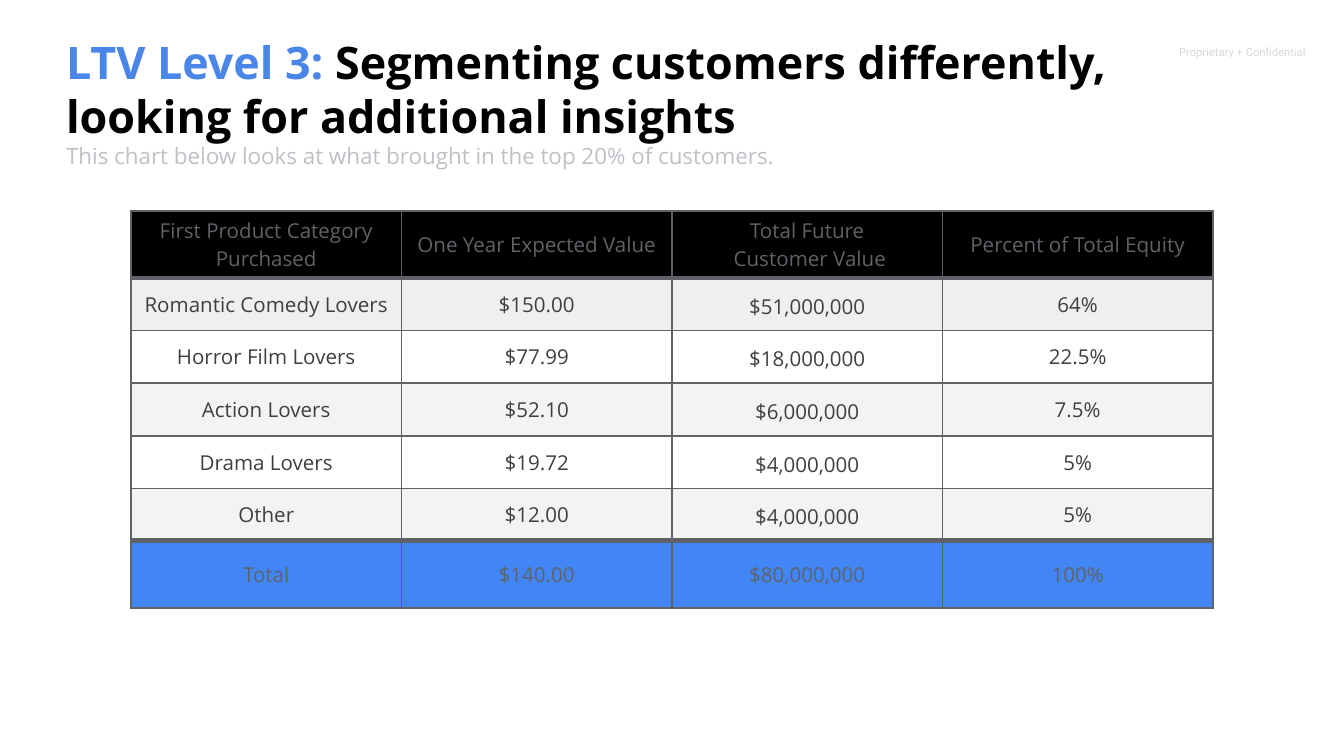
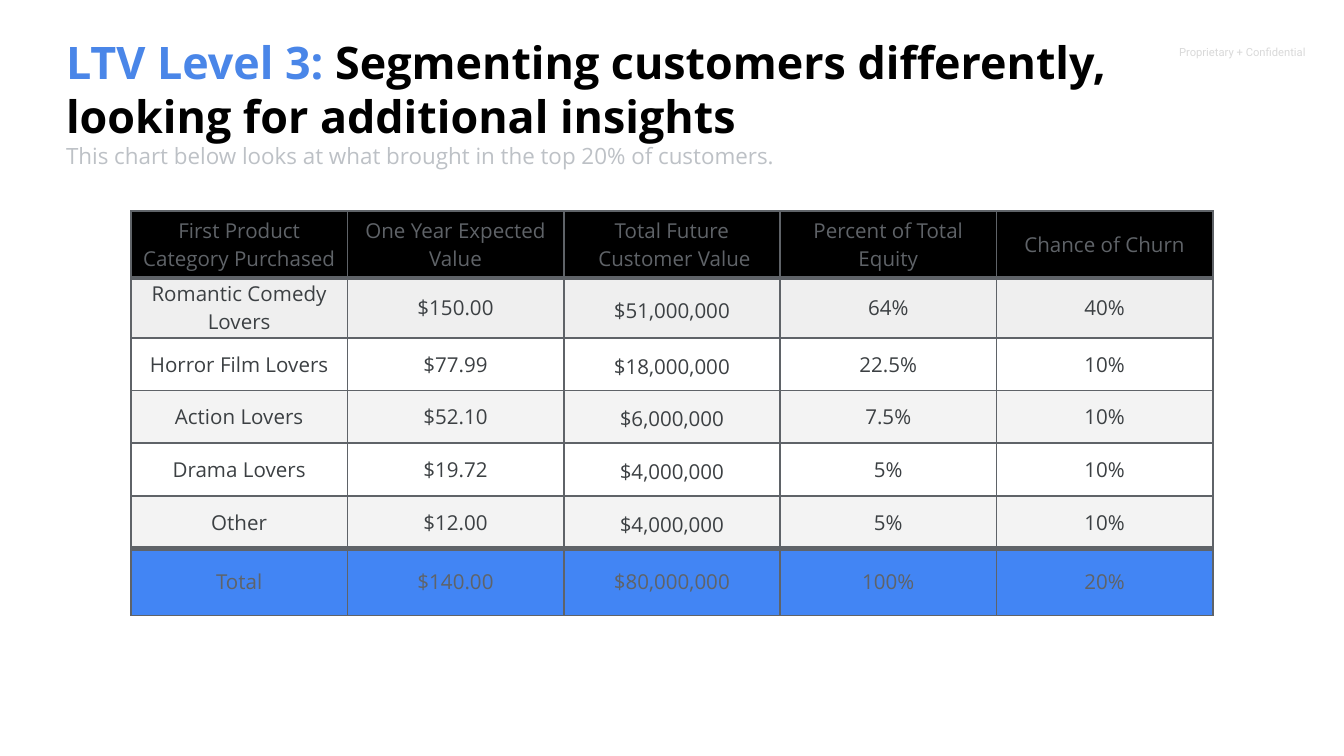
import pptx
import pptx.util
import pptx.dml.color
import pptx.enum.text
import pptx.oxml
import pptx.oxml.ns
from dataclasses import dataclass

# Content
TITLE_LEAD = "LTV Level 3:"
TITLE_REST = " Segmenting customers differently, looking for additional insights"
SUBTITLE = "This chart below looks at what brought in the top 20% of customers."
CONFIDENTIAL = "Proprietary + Confidential"

SEGMENTS = [
    ("First Product Category Purchased", "One Year Expected Value",
     "Total Future\n Customer Value", "Percent of Total Equity"),
    ("Romantic Comedy Lovers", "$150.00", "$51,000,000", "64%"),
    ("Horror Film Lovers", "$77.99", "$18,000,000", "22.5%"),
    ("Action Lovers", "$52.10", "$6,000,000", "7.5%"),
    ("Drama Lovers", "$19.72", "$4,000,000", "5%"),
    ("Other", "$12.00", "$4,000,000", "5%"),
    ("Total", "$140.00", "$80,000,000", "100%"),
]
CHURN = ["Chance of Churn", "40%", "10%", "10%", "10%", "10%", "20%"]
SEGMENTS_WITH_CHURN = [(*row, churn) for row, churn in zip(SEGMENTS, CHURN)]


@dataclass(frozen=True)
class Theme:
    font: str = "Open Sans"
    label_font: str = "Roboto"
    title_size: int = 24
    subtitle_size: int = 12
    table_size: int = 11
    label_size: int = 6
    accent: str = "4A86E8"
    title: str = "000000"
    subtitle: str = "BDC1C6"
    label: str = "D9D9D9"
    grid: str = "5F6368"
    body: str = "3C4043"
    header_fill: str = "000000"
    first_fill: str = "EFEFEF"
    band_fill: str = "F3F3F3"
    plain_fill: str = "FFFFFF"
    total_fill: str = "4285F4"
    thin: int = 1
    thick: int = 3


THEME = Theme()
EMU_PER_PX = 914400 / 134.4
SLIDE_SIZE = (1344, 756)
TITLE_BOX = (62, 31, 1222, 34)
LABEL_BOX = (1166, 30, 177, 44)
TABLE_BOX = (131, 211, 1082, 397)
END_ROW_HEIGHT = 67
TWO_LINE_ROW_HEIGHT = 60
VALUE_COLUMN = 2


def px(length):
    return pptx.util.Emu(round(length * EMU_PER_PX))


def color(value):
    return pptx.dml.color.RGBColor.from_string(value)


def add_text(paragraph, text, *, size, fill, font=THEME.font, bold=False,
             align=pptx.enum.text.PP_ALIGN.LEFT, spacing=1.0):
    """Append one formatted run and set the paragraph's layout."""
    paragraph.alignment = align
    paragraph.line_spacing = spacing
    paragraph.space_before = pptx.util.Pt(0)
    run = paragraph.add_run()
    run.text = text
    run.font.name = font
    run.font.size = pptx.util.Pt(size)
    run.font.bold = bold
    run.font.color.rgb = color(fill)


def set_margins(target, horizontal, vertical):
    target.margin_left = target.margin_right = px(horizontal)
    target.margin_top = target.margin_bottom = px(vertical)


def place(shape, box):
    shape.left, shape.top, shape.width, shape.height = map(px, box)


# Shared title and label
def add_heading(slide):
    title = slide.shapes.title
    place(title, TITLE_BOX)
    frame = title.text_frame
    frame.word_wrap = True
    frame.auto_size = pptx.enum.text.MSO_AUTO_SIZE.NONE
    frame.vertical_anchor = pptx.enum.text.MSO_ANCHOR.TOP
    set_margins(frame, 4, 4)
    heading = frame.paragraphs[0]
    for text, fill in ((TITLE_LEAD, THEME.accent), (TITLE_REST, THEME.title)):
        add_text(heading, text, size=THEME.title_size, fill=fill, bold=True)
    add_text(frame.add_paragraph(), SUBTITLE, size=THEME.subtitle_size,
             fill=THEME.subtitle)


def add_label(slide):
    frame = slide.shapes.add_textbox(*map(px, LABEL_BOX)).text_frame
    frame.word_wrap = True
    frame.vertical_anchor = pptx.enum.text.MSO_ANCHOR.MIDDLE
    set_margins(frame, 13, 0)
    add_text(frame.paragraphs[0], CONFIDENTIAL, size=THEME.label_size,
             fill=THEME.label, font=THEME.label_font)


# Table
def set_borders(cell, top, bottom):
    properties = cell._tc.get_or_add_tcPr()
    widths = {"lnL": THEME.thin, "lnR": THEME.thin, "lnT": top, "lnB": bottom}
    for position, (side, width) in enumerate(widths.items()):
        properties.insert(position, pptx.oxml.parse_xml(
            f'<a:{side} {pptx.oxml.ns.nsdecls("a")} w="{pptx.util.Pt(width)}">'
            f'<a:solidFill><a:srgbClr val="{THEME.grid}"/></a:solidFill></a:{side}>'))


def row_fills(count):
    bands = [THEME.plain_fill if index % 2 else THEME.band_fill
             for index in range(count - 2)]
    bands[0] = THEME.first_fill
    return [THEME.header_fill, *bands, THEME.total_fill]


def row_heights(count, first_height):
    body_height = (TABLE_BOX[3] - 2 * END_ROW_HEIGHT) / (count - 2)
    return [END_ROW_HEIGHT, first_height or body_height,
            *[body_height] * (count - 3), END_ROW_HEIGHT]


def add_segment_table(slide, rows, first_height):
    row_count, column_count = len(rows), len(rows[0])
    table = slide.shapes.add_table(row_count, column_count,
                                   *map(px, TABLE_BOX)).table
    table.first_row = table.horz_banding = False
    for column in table.columns:
        column.width = px(TABLE_BOX[2] / column_count)
    for table_row, height in zip(table.rows, row_heights(row_count, first_height)):
        table_row.height = px(height)

    last = row_count - 1
    edges = [THEME.thick if edge in (1, last) else THEME.thin
             for edge in range(row_count + 1)]
    fills = row_fills(row_count)
    for row_index, row in enumerate(rows):
        is_end = row_index in (0, last)
        for column_index, text in enumerate(row):
            cell = table.cell(row_index, column_index)
            is_value = column_index == VALUE_COLUMN and not is_end
            margin = 1 if is_value else 2
            set_margins(cell, margin, margin)
            cell.vertical_anchor = pptx.enum.text.MSO_ANCHOR.MIDDLE
            cell.fill.solid()
            cell.fill.fore_color.rgb = color(fills[row_index])
            set_borders(cell, edges[row_index], edges[row_index + 1])
            frame = cell.text_frame
            for line_index, line in enumerate(text.split("\n")):
                paragraph = frame.add_paragraph() if line_index else frame.paragraphs[0]
                add_text(paragraph, line, size=THEME.table_size,
                         fill=THEME.grid if is_end else THEME.body,
                         align=pptx.enum.text.PP_ALIGN.CENTER,
                         spacing=1.15 if is_value else 1.0)


def main():
    presentation = pptx.Presentation()
    presentation.slide_width, presentation.slide_height = map(px, SLIDE_SIZE)
    title_only = presentation.slide_layouts.get_by_name("Title Only")
    # The narrower columns wrap the first segment's name onto two lines
    for rows, first_height in ((SEGMENTS, None),
                               (SEGMENTS_WITH_CHURN, TWO_LINE_ROW_HEIGHT)):
        slide = presentation.slides.add_slide(title_only)
        add_label(slide)
        add_segment_table(slide, rows, first_height)
        add_heading(slide)
    presentation.save("out.pptx")


if __name__ == "__main__":
    main()
